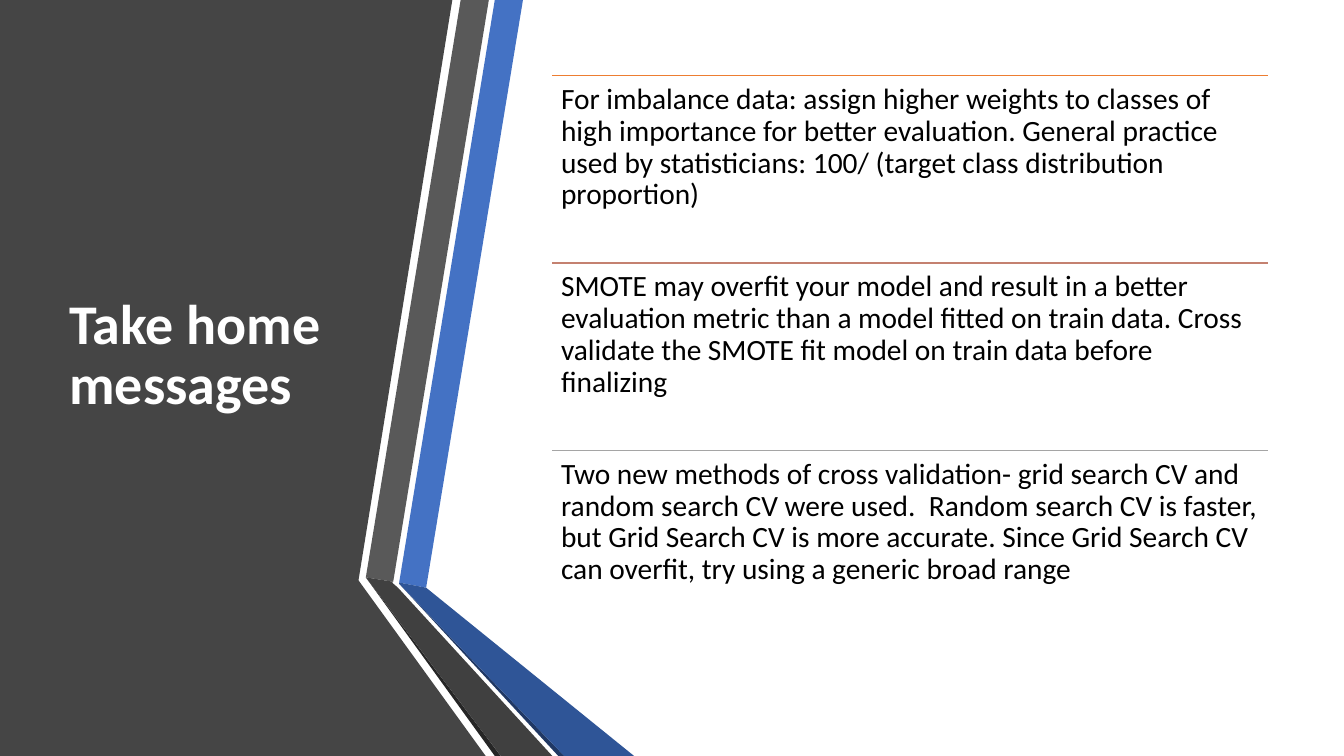
from dataclasses import dataclass

from lxml import etree
from pptx import Presentation
from pptx.dml.color import RGBColor
from pptx.enum.shapes import MSO_CONNECTOR
from pptx.enum.text import MSO_ANCHOR
from pptx.oxml.ns import qn
from pptx.util import Cm, Pt

STRAIGHT = MSO_CONNECTOR.STRAIGHT
TOP, MIDDLE = MSO_ANCHOR.TOP, MSO_ANCHOR.MIDDLE


@dataclass(frozen=True)
class Theme:
    """Colours, font and type sizes of the slide."""
    font: str = "Calibri"
    title: int = 40
    body: int = 21
    white: str = "FFFFFF"
    black: str = "000000"
    panel: str = "454545"
    blue: str = "4472C4"
    grey: str = "595959"
    ink: str = "262626"
    navy: str = "203864"
    deep: str = "2F5597"
    coal: str = "404040"
    rules: tuple = ("ED7D31", "C48170", "A5A5A5")


THEME = Theme()
WIDE, HIGH = 33.87, 19.05

BANDS = [
    (THEME.panel, [(0, 0), (11.4, 0), (9.04, 14.6), (9.04, 14.63),
                   (12.24, HIGH), (0, HIGH)]),
    (THEME.blue, [(10.06, 14.68), (10.74, 14.81), (13.18, 0), (12.47, 0)]),
    (THEME.grey, [(12.32, 0), (11.61, 0), (9.22, 14.55), (9.91, 14.66)]),
    (THEME.ink, [(9.22, 14.55), (12.47, HIGH), (12.62, HIGH)]),
    (THEME.navy, [(10.06, 14.71), (14.07, HIGH), (14.22, HIGH)]),
    (THEME.deep, [(10.06, 14.68), (10.06, 14.71), (14.22, HIGH),
                  (15.98, HIGH), (10.74, 14.81)]),
    (THEME.coal, [(13.92, HIGH), (10.03, 14.81), (9.88, 14.68),
                  (9.91, 14.66), (9.22, 14.55), (12.62, HIGH)]),
]

NOTES = [
    "For imbalance data: assign higher weights to classes of high importance "
    "for better evaluation. General practice used by statisticians: 100/ "
    "(target class distribution proportion)",
    "SMOTE may overfit your model and result in a better evaluation metric "
    "than a model fitted on train data. Cross validate the SMOTE fit model on "
    "train data before finalizing",
    "Two new methods of cross validation- grid search CV and random search CV "
    "were used.  Random search CV is faster, but Grid Search CV is more "
    "accurate. Since Grid Search CV can overfit, try using a generic broad "
    "range",
]


def add_bands(slide, left, top):
    """Draw the dark panel and its folded ribbons from a top-left corner."""
    for color, points in BANDS:
        spots = [(Cm(left + x), Cm(top + y)) for x, y in points]
        pen = slide.shapes.build_freeform(*spots[0])
        pen.add_line_segments(spots[1:], close=True)
        band = pen.convert_to_shape()
        band.shadow.inherit = False
        band.fill.solid()
        band.fill.fore_color.rgb = RGBColor.from_string(color)
        band.line.fill.background()


def add_text(slide, box, text, size, color, anchor):
    """Place one wrapped paragraph in a box and return the paragraph."""
    frame = slide.shapes.add_textbox(*map(Cm, box)).text_frame
    frame.word_wrap = True
    frame.vertical_anchor = anchor
    para = frame.paragraphs[0]
    para.text = text
    para.line_spacing = 0.9
    para.font.name = THEME.font
    para.font.size = Pt(size)
    para.font.color.rgb = RGBColor.from_string(color)
    return para, frame


def add_title(slide, box):
    """Place the bold title on the dark panel."""
    para, _ = add_text(slide, box, "Take home messages", THEME.title,
                       THEME.white, MIDDLE)
    para.font.bold = True


def add_rule(slide, left, top, width, color):
    """Draw a thin level line."""
    rule = slide.shapes.add_connector(STRAIGHT, Cm(left), Cm(top),
                                      Cm(left + width), Cm(top))
    rule.line.color.rgb = RGBColor.from_string(color)
    rule.line.width = Pt(1)
    etree.SubElement(rule.element.spPr, qn("a:effectLst"))


def add_notes(slide, box):
    """Split a box into equal rows, each a rule with a message below."""
    left, top, width, height = box
    step = height / len(NOTES)
    for i, (note, color) in enumerate(zip(NOTES, THEME.rules)):
        y = top + i * step
        add_rule(slide, left, y, width, color)
        para, frame = add_text(slide, (left, y, width, step), note,
                               THEME.body, THEME.black, TOP)
        para.space_after = Pt(7)
        frame.margin_left = frame.margin_right = Cm(0.22)
        frame.margin_top = frame.margin_bottom = Cm(0.22)


def main():
    """Build and save the slide."""
    deck = Presentation()
    deck.slide_width, deck.slide_height = Cm(WIDE), Cm(HIGH)
    slide = deck.slides.add_slide(deck.slide_layouts[6])
    add_bands(slide, 0, 0)
    add_title(slide, (1.5, 1.9, 7.72, 14.17))
    add_notes(slide, (13.92, 1.9, 18.03, 14.17))
    deck.save("out.pptx")


if __name__ == "__main__":
    main()
